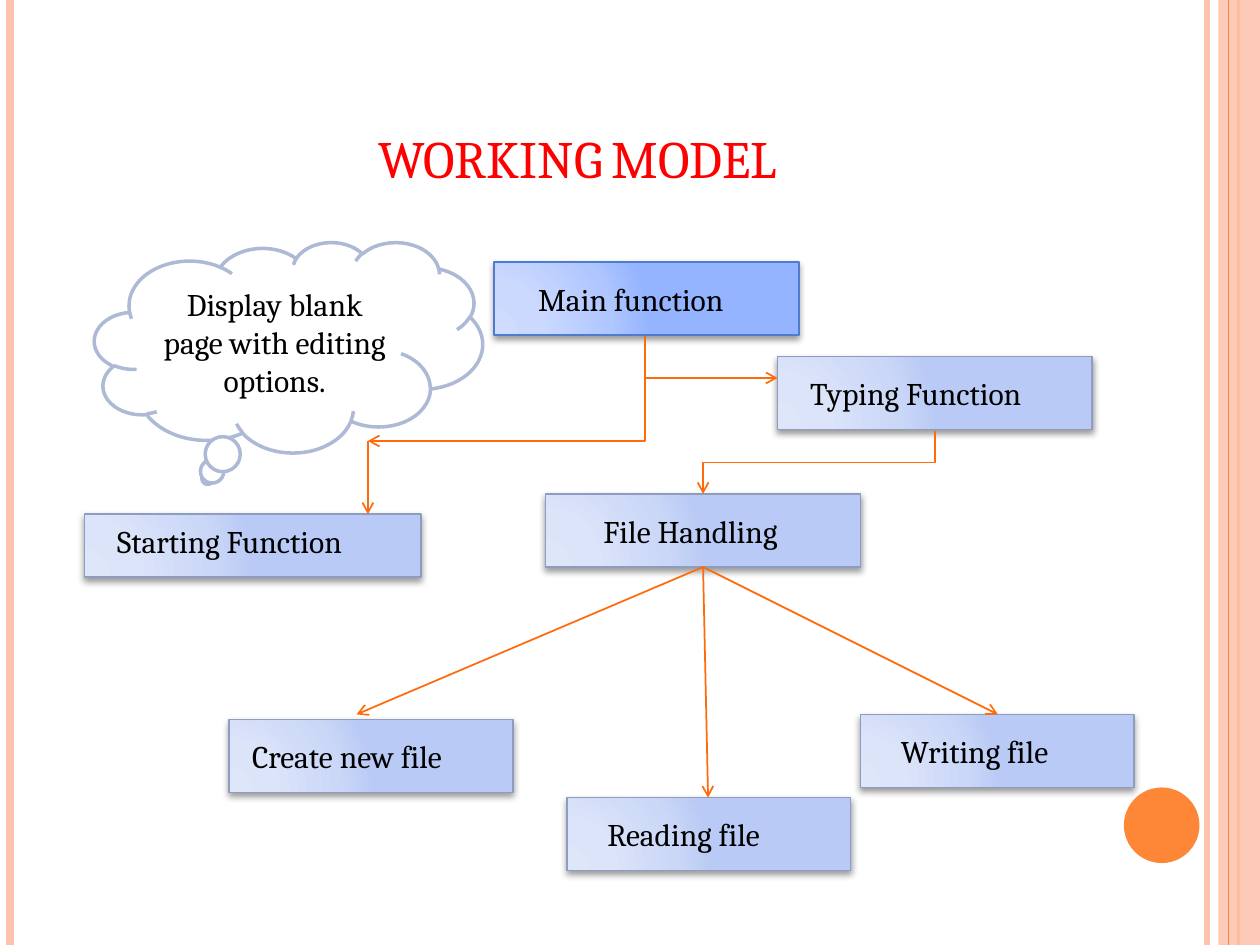
from lxml.etree import SubElement
from pptx import Presentation
from pptx.dml.color import RGBColor
from pptx.enum.shapes import MSO_CONNECTOR, MSO_SHAPE
from pptx.enum.text import MSO_ANCHOR, PP_ALIGN
from pptx.oxml import parse_xml
from pptx.oxml.ns import nsdecls, qn
from pptx.util import Inches, Pt

COLORS = {
    "title": "FF0000", "text": "000000", "arrow": "FF6B0A", "orange": "FE8637",
    "peach": "FEC3AE", "cloud": "FFFFFF", "cloud_line": "AEBAD5",
    "box_line": "8D9CBF", "main_line": "4F7CCF",
}
BOX_GRADIENT = {0: "DEE6FA", 30: "DBE4F9", 75: "CAD7F7", 100: "B8CAF5"}
MAIN_GRADIENT = {0: "CFDCFF", 30: "CBD9FF", 75: "AFC6FF", 100: "95B4FF"}
FONT = "Cambria"

presentation = Presentation()
presentation.slide_width, presentation.slide_height = Inches(10), Inches(7.5)
slide = presentation.slides.add_slide(presentation.slide_layouts[5])
shapes = slide.shapes


def add_line(start, end, color, width, arrow=False, elbow=None):
    """Draw a straight line, or an elbow that leaves its start downwards."""
    (x1, y1), (x2, y2) = start, end
    kind = MSO_CONNECTOR.STRAIGHT
    if elbow:
        kind = MSO_CONNECTOR.ELBOW
        leftward = x2 < x1
        middle_x, middle_y = (x1 + x2) / 2, (y1 + y2) / 2
        half_width, half_height = abs(y2 - y1) / 2, abs(x2 - x1) / 2
        if not leftward:
            half_width = -half_width
        x1, x2 = middle_x - half_width, middle_x + half_width
        y1, y2 = middle_y - half_height, middle_y + half_height
    connector = shapes.add_connector(kind, *map(Inches, (x1, y1, x2, y2)))
    connector.line.color.rgb = RGBColor.from_string(COLORS[color])
    connector.line.width = Pt(width)
    properties = connector._element.spPr
    if elbow:
        properties.find(qn("a:prstGeom")).set("prst", elbow)
        degrees = 90 if leftward else 270
        properties.find(qn("a:xfrm")).set("rot", str(degrees * 60000))
    if arrow:
        SubElement(properties.find(qn("a:ln")), qn("a:tailEnd"), type="arrow")
    SubElement(properties, qn("a:effectLst"))
    return connector


def add_shape(preset, box, fill, line=None, line_width=1, text=""):
    """Add a preset shape with a plain fill and optional 18 pt text."""
    shape = shapes.add_shape(preset, *map(Inches, box))
    shape.shadow.inherit = False
    shape.fill.solid()
    shape.fill.fore_color.rgb = RGBColor.from_string(COLORS[fill])
    if line:
        shape.line.color.rgb = RGBColor.from_string(COLORS[line])
        shape.line.width = Pt(line_width)
    else:
        shape.line.fill.background()
    if text:
        shape.text_frame.text = text
        shape.text_frame.vertical_anchor = MSO_ANCHOR.MIDDLE
        font = shape.text_frame.paragraphs[0].font
        font.name, font.size = FONT, Pt(18)
        font.color.rgb = RGBColor.from_string(COLORS["text"])
    return shape


# Side decoration
for x, color, width in [(9.58, "peach", 3), (0.08, "peach", 4.5), (9.83, "orange", 1.5)]:
    add_line((x, 0), (x, 7.5), color, width)
band = add_shape(MSO_SHAPE.RECTANGLE, (9.67, 0, 0.33, 7.5), "peach")
band_color = band._element.spPr.find(qn("a:solidFill"))[0]
SubElement(band_color, qn("a:alpha"), val="87000")
add_line((9.75, 0), (9.75, 7.5), "orange", 0.75)
add_shape(MSO_SHAPE.OVAL, (8.92, 6.25, 0.6, 0.6), "orange")

# Title
title = shapes.title
title.left, title.top, title.width, title.height = map(Inches, (0.5, 0.3, 8.17, 1.25))
title.text_frame.text = "WORKING MODEL"
title.text_frame.vertical_anchor = MSO_ANCHOR.BOTTOM
heading = title.text_frame.paragraphs[0]
heading.alignment = PP_ALIGN.CENTER
heading.font.name, heading.font.size = FONT, Pt(30)
heading.font.color.rgb = RGBColor.from_string(COLORS["title"])
heading.runs[0]._r.get_or_add_rPr().set("cap", "small")

# Function boxes: label, left, top, width, height, text inset
function_boxes = [
    ("Typing Function", 6.17, 2.83, 2.5, 0.58, 0.26),
    ("Starting Function", 0.67, 4.08, 2.67, 0.5, 0.26),
    ("Main function", 3.92, 2.08, 2.42, 0.58, 0.35),
    ("File Handling", 4.33, 3.92, 2.5, 0.58, 0.46),
    ("Writing file", 6.83, 5.67, 2.17, 0.58, 0.32),
    ("Reading file", 4.5, 6.33, 2.25, 0.58, 0.32),
    ("Create new file", 1.82, 5.71, 2.25, 0.58, 0.18),
]
for label, left, top, width, height, inset in function_boxes:
    is_main = label == "Main function"
    box = add_shape(MSO_SHAPE.RECTANGLE, (left, top, width, height), "cloud",
                    "main_line" if is_main else "box_line", 1, label)
    frame = box.text_frame
    frame.margin_left, frame.margin_right = Inches(inset), 0
    frame.margin_top = 0
    frame.margin_bottom = Inches(0.08 if label == "Starting Function" else 0)
    frame.paragraphs[0].alignment = PP_ALIGN.LEFT
    gradient = MAIN_GRADIENT if is_main else BOX_GRADIENT
    stops = "".join(f'<a:gs pos="{position * 1000}"><a:srgbClr val="{color}"/></a:gs>'
                    for position, color in gradient.items())
    properties = box._element.spPr
    properties.replace(properties.find(qn("a:solidFill")), parse_xml(
        f'<a:gradFill {nsdecls("a")} rotWithShape="1"><a:gsLst>{stops}</a:gsLst>'
        '<a:path path="circle"><a:fillToRect l="5000" t="100000" r="120000" b="10000"/>'
        '</a:path></a:gradFill>'))
    shadow = SubElement(properties.find(qn("a:effectLst")), qn("a:outerShdw"),
                        blurRad=str(Pt(4)), dist=str(Pt(2)), dir="5400000", rotWithShape="0")
    shadow_color = SubElement(shadow, qn("a:srgbClr"), val="000000")
    SubElement(shadow_color, qn("a:alpha"), val="40000")

# Arrows
main_bottom, file_bottom, corner = (5.12, 2.67), (5.58, 4.5), (2.92, 3.5)
arrows = [
    (main_bottom, corner, "bentConnector2"),
    (main_bottom, (6.17, 3), "bentConnector2"),
    ((7.42, 3.42), (5.58, 3.92), "bentConnector3"),
    (file_bottom, (2.83, 5.67), None),
    (file_bottom, (7.92, 5.67), None),
    (file_bottom, (5.62, 6.33), None),
    (corner, (2.92, 4.08), None),
]
for start, end, elbow in arrows:
    add_line(start, end, "arrow", 1, arrow=True, elbow=elbow)

# Thought cloud
cloud = add_shape(MSO_SHAPE.CLOUD_CALLOUT, (0.75, 1.92, 3.08, 1.67), "cloud",
                  "cloud_line", 2, "Display blank page with editing options.")
cloud.text_frame.word_wrap = True
cloud.text_frame.paragraphs[0].alignment = PP_ALIGN.CENTER

presentation.save("out.pptx")
